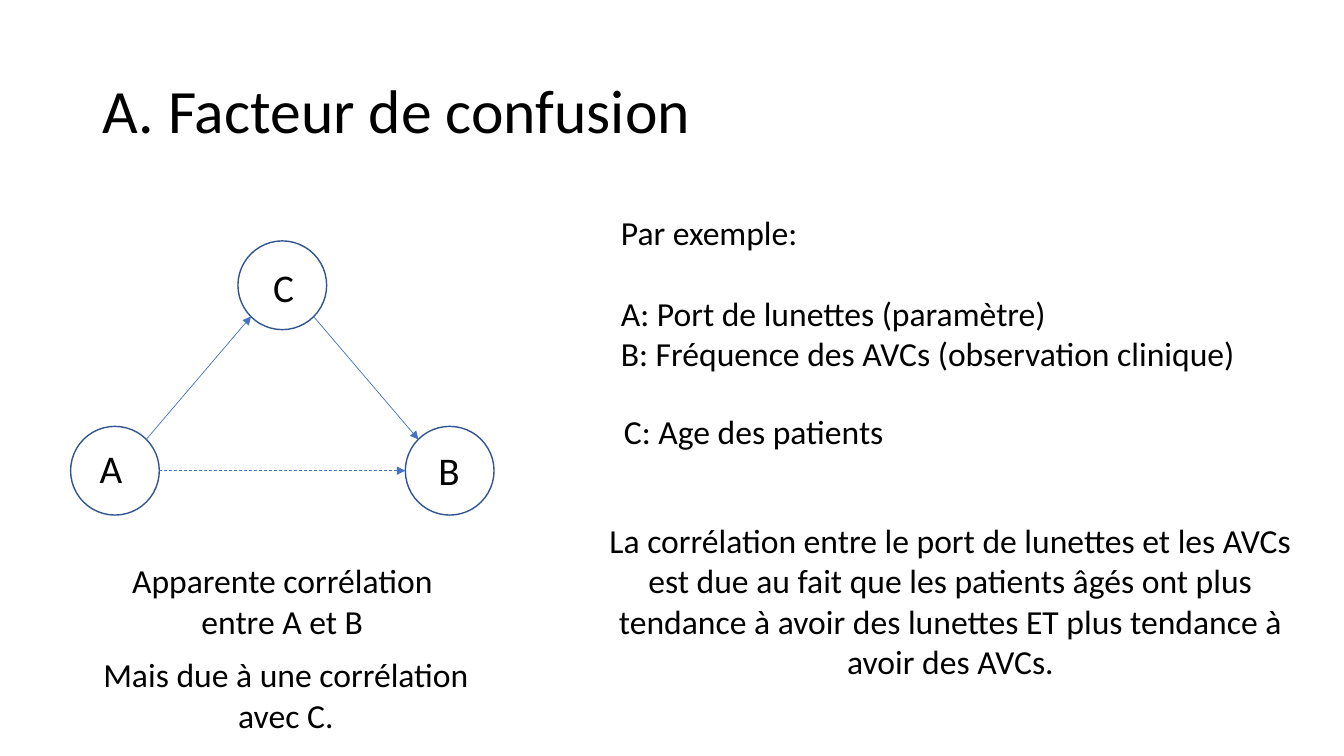
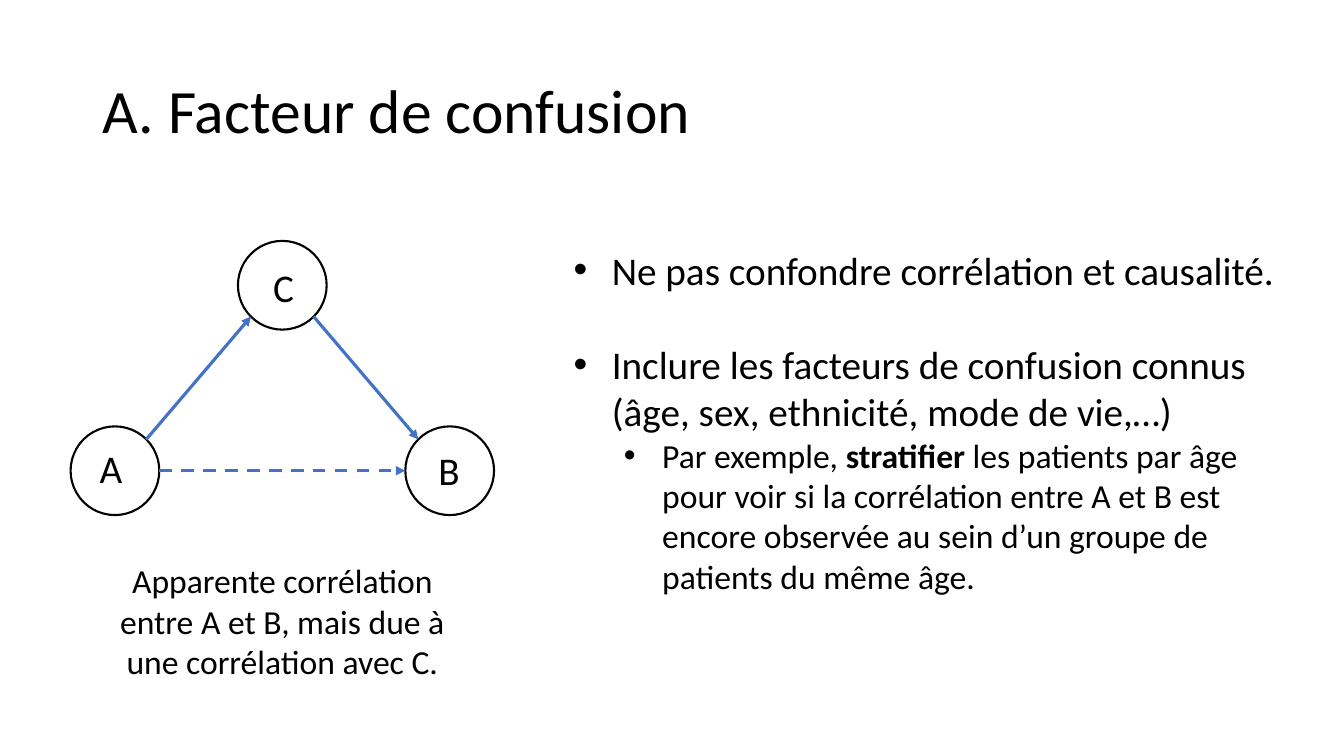
from dataclasses import dataclass

import lxml.etree
import pptx
import pptx.dml.color
import pptx.enum.dml
import pptx.enum.shapes
import pptx.enum.text
import pptx.oxml.ns
import pptx.presentation
import pptx.slide
import pptx.text.text
import pptx.util

PX = 9144  # one hundred px to the inch
FONT = "Calibri"
TITLE = "A. Facteur de confusion"
COLORS = {"ink": "000000", "navy": "325491", "blue": "4472C4"}
LEFT = pptx.enum.text.PP_ALIGN.LEFT
MID = pptx.enum.text.PP_ALIGN.CENTER
RADIUS = 44
DIAG = round(RADIUS * 0.5 ** 0.5)


@dataclass(frozen=True)
class Run:
    text: str
    size: int = 24
    bold: bool = False


@dataclass(frozen=True)
class Para:
    runs: tuple[Run, ...]
    align: int = LEFT
    after: int = 0  # points
    indent: int = 0  # px, with a bullet when above zero
    level: int = 0


@dataclass(frozen=True)
class Box:
    left: int
    top: int
    width: int
    height: int
    paras: tuple[Para, ...]


@dataclass(frozen=True)
class Node:
    name: str
    x: int
    y: int
    dx: int  # label offset from the centre
    dy: int


@dataclass(frozen=True)
class Arrow:
    start: str
    end: str
    out: tuple[int, int]  # edge point from the start centre
    into: tuple[int, int]
    dashed: bool = False


@dataclass(frozen=True)
class Style:
    ring: str
    edge: float
    arrow: float


@dataclass(frozen=True)
class Page:
    style: Style
    boxes: tuple[Box, ...]


NODES = {node.name: node for node in (
    Node("A", 114, 467, -25, -31),
    Node("B", 446, 467, -21, -29),
    Node("C", 280, 283, -19, -27),
)}
ARROWS = (
    Arrow("A", "B", (RADIUS, 0), (-RADIUS, 0), True),
    Arrow("A", "C", (DIAG, -DIAG), (-DIAG, DIAG)),
    Arrow("C", "B", (DIAG, DIAG), (-DIAG, -DIAG)),
)


def line(text: str, align: int = LEFT, after: int = 0) -> Para:
    return Para((Run(text),), align, after)


PAGES = (
    Page(Style("navy", 1, 0.5), (
        Box(102, 551, 356, 91, (line("Apparente corrélation entre A et B", MID),)),
        Box(606, 205, 647, 172, (
            line("Par exemple:", after=29),
            line("A: Port de lunettes (paramètre)"),
            line("B: Fréquence des AVCs (observation clinique)"),
        )),
        Box(593, 511, 699, 172, (line(
            "La corrélation entre le port de lunettes et les AVCs est due au fait "
            "que les patients âgés ont plus tendance à avoir des lunettes ET plus "
            "tendance à avoir des AVCs.", MID),)),
        Box(89, 644, 389, 91, (line("Mais due à une corrélation avec C.", MID),)),
        Box(609, 403, 357, 50, (line("C: Age des patients"),)),
    )),
    Page(Style("ink", 1.5, 2.25), (
        Box(102, 551, 356, 131, (line(
            "Apparente corrélation entre A et B, mais due à une corrélation avec C.",
            MID),)),
        Box(559, 239, 736, 401, (
            Para((Run("Ne pas confondre corrélation et causalité.", 28),),
                 after=34, indent=38),
            Para((Run("Inclure les facteurs de confusion connus "
                      "(âge, sex, ethnicité, mode de vie,…)", 28),), indent=38),
            Para((Run("Par exemple, "), Run("stratifier", bold=True),
                  Run(" les patients par âge pour voir si la corrélation entre A et B "
                      "est encore observée au sein d’un groupe de patients du même âge.")),
                 indent=88, level=1),
        )),
    )),
)


def px(*values: int) -> list[int]:
    return [pptx.util.Emu(value * PX) for value in values]


def color(name: str) -> pptx.dml.color.RGBColor:
    return pptx.dml.color.RGBColor.from_string(COLORS[name])


def add_run(para: pptx.text.text._Paragraph, item: Run) -> None:
    run = para.add_run()
    run.text = item.text
    run.font.name = FONT
    run.font.size = pptx.util.Pt(item.size)
    run.font.bold = item.bold
    run.font.color.rgb = color("ink")


def add_bullet(para: pptx.text.text._Paragraph, indent: int) -> None:
    props = para._p.get_or_add_pPr()
    props.set("marL", str(indent * PX))
    props.set("indent", str(-38 * PX))
    qn = pptx.oxml.ns.qn
    lxml.etree.SubElement(props, qn("a:buFont"), typeface="Arial")
    lxml.etree.SubElement(props, qn("a:buChar"), char="•")


def add_box(slide: pptx.slide.Slide, box: Box) -> None:
    frame = slide.shapes.add_textbox(
        *px(box.left, box.top, box.width, box.height)).text_frame
    frame.word_wrap = True
    frame.auto_size = pptx.enum.text.MSO_AUTO_SIZE.SHAPE_TO_FIT_TEXT
    for index, item in enumerate(box.paras):
        para = frame.add_paragraph() if index else frame.paragraphs[0]
        para.alignment = item.align
        para.level = item.level
        para.space_after = pptx.util.Pt(item.after)
        if item.indent:
            add_bullet(para, item.indent)
        for run in item.runs:
            add_run(para, run)


def add_title(slide: pptx.slide.Slide) -> None:
    title = slide.shapes.title
    title.left, title.top, title.width, title.height = px(92, 40, 1150, 145)
    frame = title.text_frame
    frame.word_wrap = True
    frame.auto_size = pptx.enum.text.MSO_AUTO_SIZE.NONE
    frame.vertical_anchor = pptx.enum.text.MSO_ANCHOR.MIDDLE
    para = frame.paragraphs[0]
    para.alignment = LEFT
    para.line_spacing = 0.9
    add_run(para, Run(TITLE, 44))


def add_ring(slide: pptx.slide.Slide, node: Node, style: Style) -> None:
    ring = slide.shapes.add_shape(
        pptx.enum.shapes.MSO_SHAPE.OVAL,
        *px(node.x - RADIUS, node.y - RADIUS, 2 * RADIUS, 2 * RADIUS))
    ring.shadow.inherit = False
    ring.fill.background()
    ring.line.color.rgb = color(style.ring)
    ring.line.width = pptx.util.Pt(style.edge)


def add_arrow(slide: pptx.slide.Slide, arrow: Arrow, style: Style) -> None:
    start, end = NODES[arrow.start], NODES[arrow.end]
    link = slide.shapes.add_connector(
        pptx.enum.shapes.MSO_CONNECTOR.STRAIGHT,
        *px(start.x + arrow.out[0], start.y + arrow.out[1],
            end.x + arrow.into[0], end.y + arrow.into[1]))
    link.line.color.rgb = color("blue")
    link.line.width = pptx.util.Pt(style.arrow)
    if arrow.dashed:
        link.line.dash_style = pptx.enum.dml.MSO_LINE.DASH
    # Arrowhead, and no shadow
    qn = pptx.oxml.ns.qn
    props = link._element.spPr
    lxml.etree.SubElement(props.find(qn("a:ln")), qn("a:tailEnd"), type="triangle")
    lxml.etree.SubElement(props, qn("a:effectLst"))


def add_graph(slide: pptx.slide.Slide, style: Style) -> None:
    for node in NODES.values():
        add_ring(slide, node, style)
    for arrow in ARROWS:
        add_arrow(slide, arrow, style)
    for node in NODES.values():
        label = Para((Run(node.name, 28),))
        add_box(slide, Box(node.x + node.dx, node.y + node.dy, 99, 57, (label,)))


def add_page(deck: pptx.presentation.Presentation, page: Page) -> None:
    slide = deck.slides.add_slide(deck.slide_layouts.get_by_name("Title Only"))
    add_title(slide)
    add_graph(slide, page.style)
    for box in page.boxes:
        add_box(slide, box)


def main() -> None:
    deck = pptx.Presentation()
    deck.slide_width, deck.slide_height = px(1333, 750)
    for page in PAGES:
        add_page(deck, page)
    deck.save("out.pptx")


if __name__ == "__main__":
    main()
